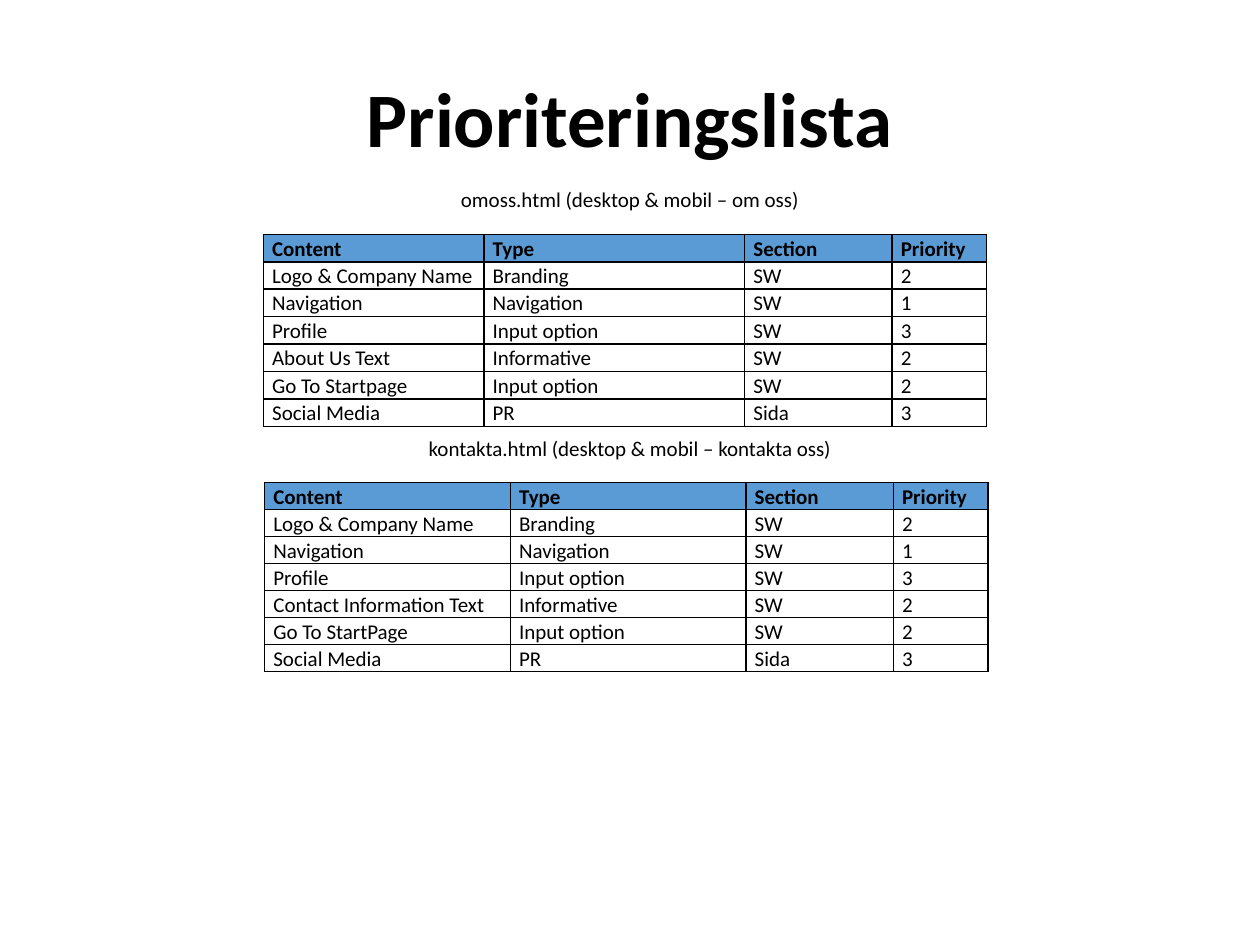
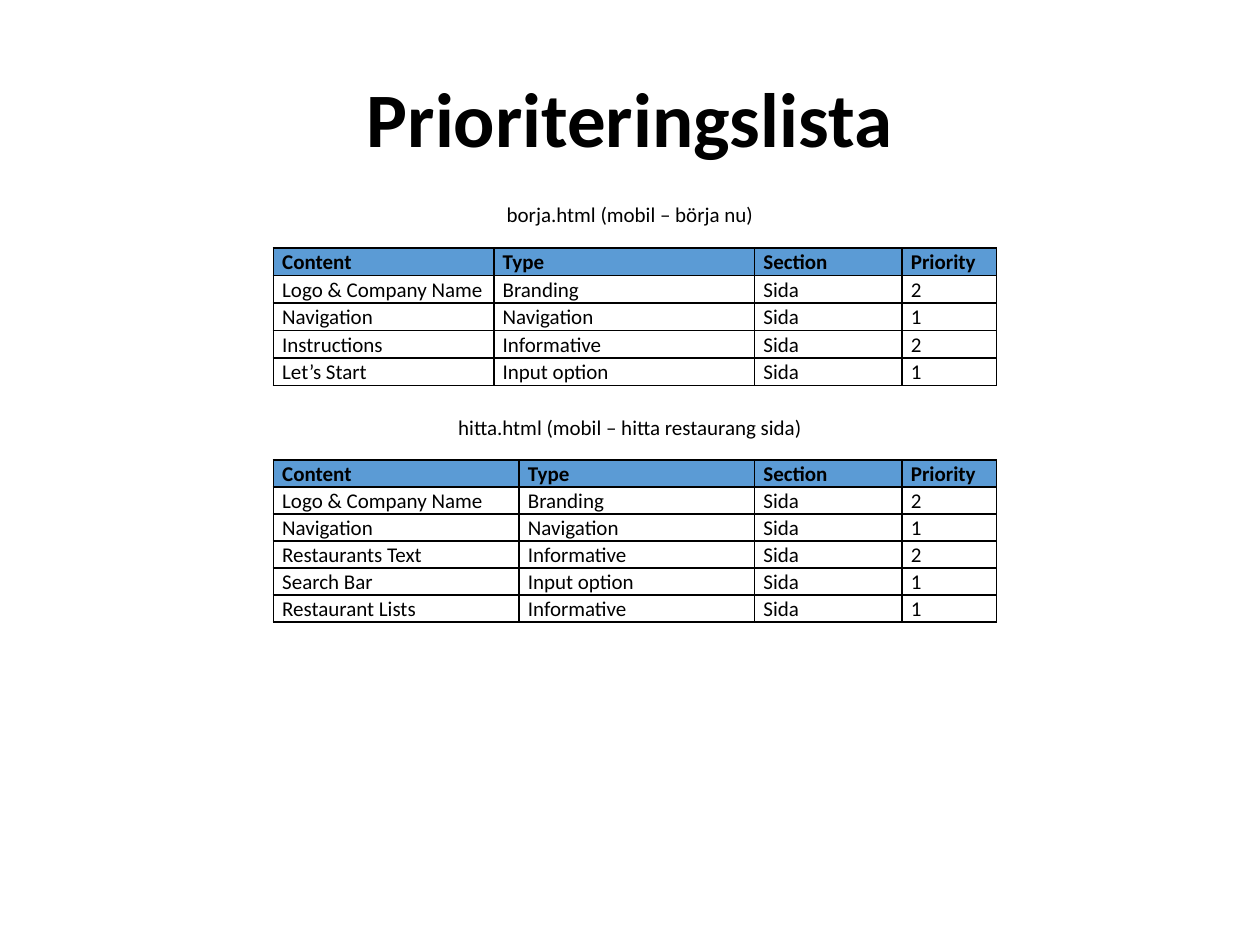
import pptx
import pptx.dml.color
import pptx.enum.text
import pptx.oxml
import pptx.oxml.ns
import pptx.util
from pptx.util import Inches, Pt

# Content
TITLE = "Prioriteringslista"
HEADER = ("Content", "Type", "Section", "Priority")
LOGO_ROW = ("Logo & Company Name", "Branding")
NAVIGATION_ROW = ("Navigation", "Navigation")

# Column widths in inches and row height in points
UPPER = {"columns": (1.75, 2.07, 1.17, 0.75), "row_height": 15.65}
LOWER = {"columns": (1.95, 1.87, 1.17, 0.75), "row_height": 15.43}

# Each list: layout, caption, caption top, table left and top, rows
SLIDES = [
    [
        (UPPER, "omoss.html (desktop & mobil – om oss)", 1.43, (2.09, 1.86), [
            (*LOGO_ROW, "SW", "2"),
            (*NAVIGATION_ROW, "SW", "1"),
            ("Profile", "Input option", "SW", "3"),
            ("About Us Text", "Informative", "SW", "2"),
            ("Go To Startpage", "Input option", "SW", "2"),
            ("Social Media", "PR", "Sida", "3"),
        ]),
        (LOWER, "kontakta.html (desktop & mobil – kontakta oss)", 3.41, (2.1, 3.83), [
            (*LOGO_ROW, "SW", "2"),
            (*NAVIGATION_ROW, "SW", "1"),
            ("Profile", "Input option", "SW", "3"),
            ("Contact Information Text", "Informative", "SW", "2"),
            ("Go To StartPage", "Input option", "SW", "2"),
            ("Social Media", "PR", "Sida", "3"),
        ]),
    ],
    [
        (UPPER, "borja.html (mobil – börja nu)", 1.55, (2.17, 1.97), [
            (*LOGO_ROW, "Sida", "2"),
            (*NAVIGATION_ROW, "Sida", "1"),
            ("Instructions", "Informative", "Sida", "2"),
            ("Let’s Start", "Input option", "Sida", "1"),
        ]),
        (LOWER, "hitta.html (mobil – hitta restaurang sida)", 3.24, (2.17, 3.65), [
            (*LOGO_ROW, "Sida", "2"),
            (*NAVIGATION_ROW, "Sida", "1"),
            ("Restaurants Text", "Informative", "Sida", "2"),
            ("Search Bar", "Input option", "Sida", "1"),
            ("Restaurant Lists", "Informative", "Sida", "1"),
        ]),
    ],
]

# Shared style
FONT = "Calibri"
BLACK = "000000"
HEADER_BLUE = "5B9BD5"


def color(hex_string):
    return pptx.dml.color.RGBColor.from_string(hex_string)


def format_paragraph(paragraph, size=12, bold=False):
    paragraph.font.name = FONT
    paragraph.font.size = Pt(size)
    paragraph.font.bold = bold
    paragraph.font.color.rgb = color(BLACK)


def add_title(slide):
    title = slide.shapes.title
    title.left, title.top = Inches(0.5), Inches(0.3)
    title.width, title.height = Inches(9), Inches(1.25)
    title.text_frame.text = TITLE
    title.text_frame.vertical_anchor = pptx.enum.text.MSO_ANCHOR.MIDDLE
    paragraph = title.text_frame.paragraphs[0]
    paragraph.alignment = pptx.enum.text.PP_ALIGN.CENTER
    format_paragraph(paragraph, size=44, bold=True)


def add_caption(slide, text, top):
    caption = slide.shapes.add_textbox(0, Inches(top), Inches(10), Inches(0.3))
    caption.text_frame.word_wrap = True
    caption.text_frame.text = text
    paragraph = caption.text_frame.paragraphs[0]
    paragraph.alignment = pptx.enum.text.PP_ALIGN.CENTER
    format_paragraph(paragraph)


def add_borders(cell):
    properties = cell._tc.get_or_add_tcPr()
    for side in ("lnL", "lnR", "lnT", "lnB"):
        properties.append(pptx.oxml.parse_xml(
            f'<a:{side} {pptx.oxml.ns.nsdecls("a")} w="{Pt(1)}"><a:solidFill>'
            f'<a:srgbClr val="{BLACK}"/></a:solidFill></a:{side}>'))


def format_cell(cell, text, is_header):
    cell.margin_left = cell.margin_right = Inches(0.07)
    cell.margin_top = cell.margin_bottom = 0
    cell.text = text
    paragraph = cell.text_frame.paragraphs[0]
    paragraph.line_spacing = 1.07
    format_paragraph(paragraph, bold=is_header)
    add_borders(cell)
    if is_header:
        cell.fill.solid()
        cell.fill.fore_color.rgb = color(HEADER_BLUE)
    else:
        cell.fill.background()


def add_priority_table(slide, layout, position, rows):
    left, top = position
    all_rows = [HEADER, *rows]
    row_height = Pt(layout["row_height"])
    table = slide.shapes.add_table(
        len(all_rows), len(HEADER), Inches(left), Inches(top),
        Inches(sum(layout["columns"])), row_height * len(all_rows)).table
    table.horz_banding = False
    for column, width in zip(table.columns, layout["columns"]):
        column.width = Inches(width)
    for row_index, values in enumerate(all_rows):
        table.rows[row_index].height = row_height
        for column_index, value in enumerate(values):
            format_cell(table.cell(row_index, column_index), value, row_index == 0)


def main():
    presentation = pptx.Presentation()
    presentation.slide_width, presentation.slide_height = Inches(10), Inches(7.5)
    title_only = presentation.slide_layouts[5]
    for priority_lists in SLIDES:
        slide = presentation.slides.add_slide(title_only)
        add_title(slide)
        for layout, caption, caption_top, position, rows in priority_lists:
            add_priority_table(slide, layout, position, rows)
            add_caption(slide, caption, caption_top)
    presentation.save("out.pptx")


if __name__ == "__main__":
    main()
